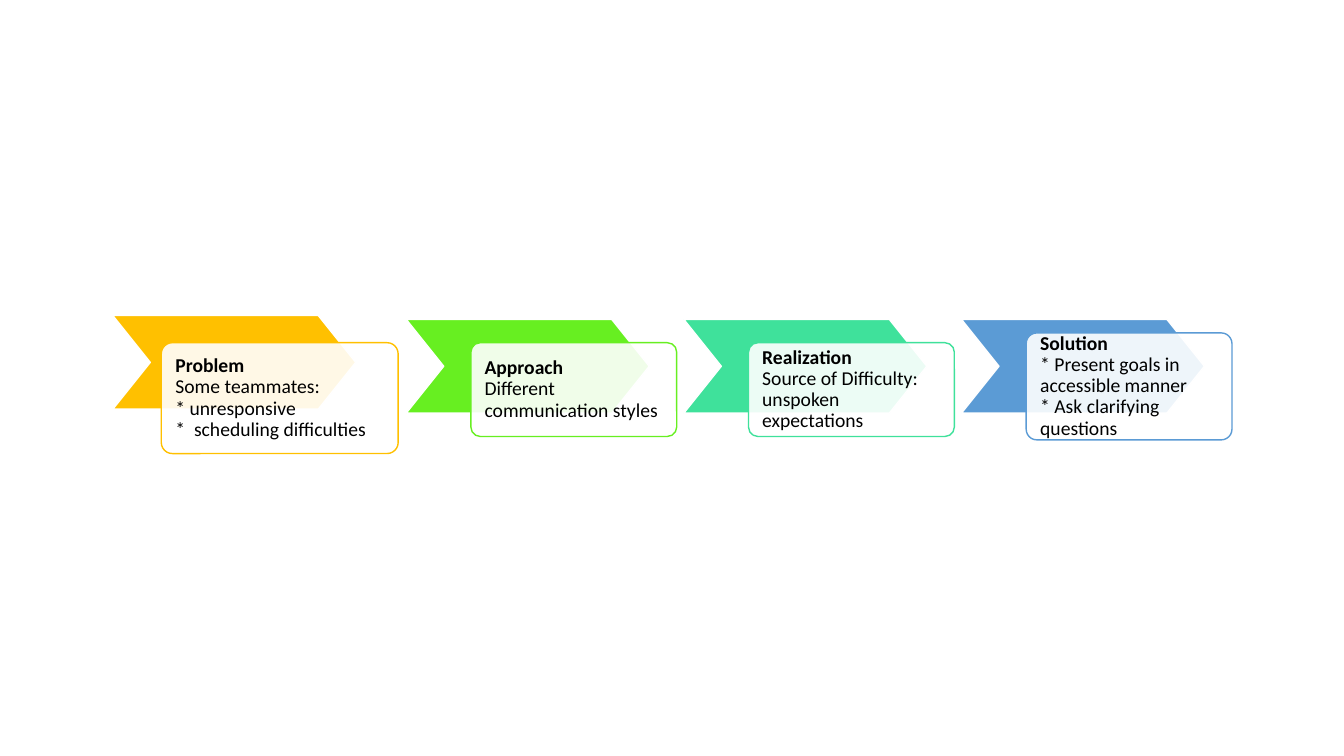
from lxml.etree import SubElement
from pptx import Presentation
from pptx.dml.color import RGBColor
from pptx.enum.shapes import MSO_SHAPE as Shape
from pptx.enum.text import MSO_ANCHOR as Anchor, PP_ALIGN as Align
from pptx.oxml.ns import qn
from pptx.util import Pt


def rgb(value):
    """Turn a hex string into a colour."""
    return RGBColor.from_string(value)


class ProcessSlide:
    """Hold the style and the slide on which the process is built."""

    font, size, ink, paper = "Calibri", 14, "000000", "FFFFFF"
    padding, line_width, line_spacing = 7.8, 1, 0.9

    def __init__(self, slide):
        """Keep the current slide."""
        self.slide = slide

    def outlined(self, kind, box, fill, line, adjustment):
        """Add a preset shape with a solid fill and a thin outline."""
        shape = self.slide.shapes.add_shape(kind, *map(Pt, box))
        shape.adjustments[0] = adjustment
        shape.shadow.inherit = False
        shape.fill.solid()
        shape.fill.fore_color.rgb = rgb(fill)
        shape.line.color.rgb = rgb(line)
        shape.line.width = Pt(self.line_width)
        return shape

    def chevron(self, box, color):
        """Add the coloured arrow behind a card."""
        self.outlined(Shape.CHEVRON, box, color, self.paper, 0.4)

    def card(self, box, color, heading, details):
        """Add a translucent card with a bold heading over its details."""
        card = self.outlined(Shape.ROUNDED_RECTANGLE, box, self.paper, color, 0.1)
        paper = card.fill._xPr.find(qn("a:solidFill"))[0]
        SubElement(paper, qn("a:alpha"), val="90000")
        frame = card.text_frame
        frame.word_wrap = True
        frame.vertical_anchor = Anchor.MIDDLE
        frame.margin_left = frame.margin_right = Pt(self.padding)
        frame.margin_top = frame.margin_bottom = Pt(self.padding)
        frame.text = "\n".join([heading, *details])
        for index, paragraph in enumerate(frame.paragraphs):
            paragraph.alignment = Align.LEFT
            paragraph.line_spacing = self.line_spacing
            paragraph.font.name = self.font
            paragraph.font.size = Pt(self.size)
            paragraph.font.bold = index == 0
            paragraph.font.color.rgb = rgb(self.ink)


STEPS = [
    ("Problem", ["Some teammates:", "* unresponsive", "*  scheduling difficulties"],
     "FFC000", (80.6, 225.4), (115.2, 244.8, 169.2, 79.2)),
    ("Approach", ["Different communication styles"],
     "67EF21", (290.2, 228.2), (336.4, 244.8, 147, 67)),
    ("Realization", ["Source of Difficulty: unspoken expectations"],
     "3FE19B", (488.5, 228.2), (534.7, 244.8, 147, 67)),
    ("Solution", ["* Present goals in accessible manner", "* Ask clarifying questions"],
     "5B9BD5", (686.8, 228.2), (733, 237.8, 147, 76.4)),
]
CHEVRON_SIZE = (173.5, 66.9)

deck = Presentation()
deck.slide_width, deck.slide_height = Pt(960), Pt(540)
process = ProcessSlide(deck.slides.add_slide(deck.slide_layouts[6]))
for heading, details, color, chevron_corner, card_box in STEPS:
    process.chevron(chevron_corner + CHEVRON_SIZE, color)
    process.card(card_box, color, heading, details)
deck.save("out.pptx")
